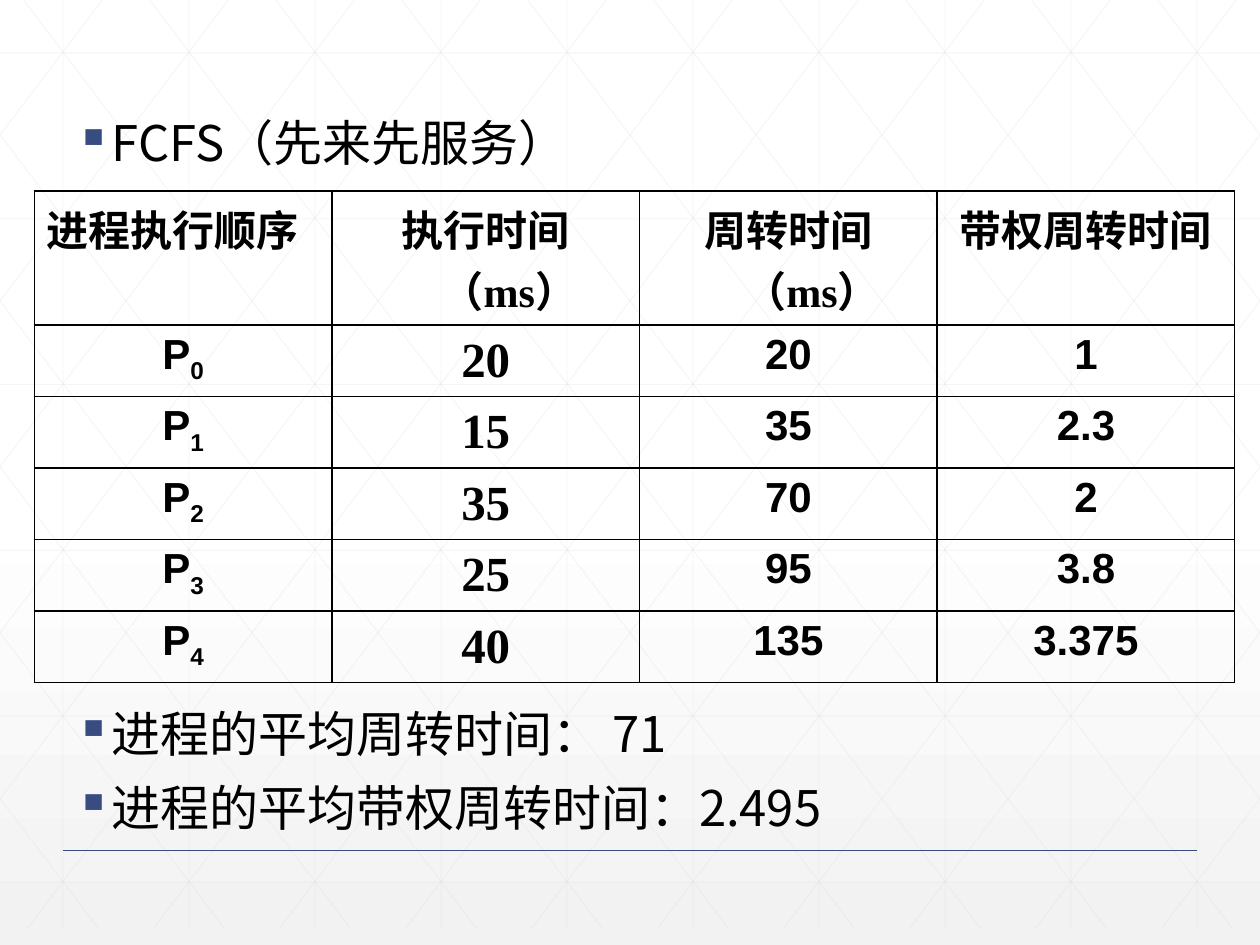
from dataclasses import dataclass

from lxml import etree
from pptx import Presentation
from pptx.dml.color import RGBColor
from pptx.enum.shapes import MSO_CONNECTOR
from pptx.enum.text import MSO_ANCHOR, PP_ALIGN
from pptx.oxml.ns import qn
from pptx.util import Pt

STRAIGHT = MSO_CONNECTOR.STRAIGHT
LEFT, CENTER = PP_ALIGN.LEFT, PP_ALIGN.CENTER
TOP, MIDDLE = MSO_ANCHOR.TOP, MSO_ANCHOR.MIDDLE

BLACK = RGBColor(0, 0, 0)
WHITE = RGBColor(255, 255, 255)
SMOKE = RGBColor(0xF2, 0xF2, 0xF2)
GRAY = RGBColor(0xD9, 0xD9, 0xD9)
NAVY = RGBColor(0x38, 0x4C, 0x81)

SANS, SERIF, HAN = "Arial", "Times New Roman", "Noto Sans CJK SC"
WIDE, HIGH = 720, 540
MESH_H = 530.64  # height of the background mesh
RUN = 402.84  # how far a diagonal moves sideways over that height


@dataclass
class Line:
    x1: float
    y1: float
    x2: float
    y2: float


@dataclass
class Style:
    font: str
    size: float
    bold: bool = True


@dataclass
class Column:
    head: str
    align: PP_ALIGN
    width: float
    style: Style
    anchor: MSO_ANCHOR
    hang: float
    cells: list[str]


@dataclass
class Note:
    top: float
    high: float
    lines: list[str]


HEAD = Style(SERIF, 24)
DATA = Style(SANS, 24)
COUNT = Style(SERIF, 28)
BODY = Style(HAN, 28, False)

COLUMNS = [
    Column("进程执行顺序", LEFT, 170, DATA, TOP, 0, ["P0", "P1", "P2", "P3", "P4"]),
    Column("执行时间（ms）", CENTER, 176, COUNT, MIDDLE, 27, ["20", "15", "35", "25", "40"]),
    Column("周转时间（ms）", CENTER, 170, DATA, TOP, 0, ["20", "35", "70", "95", "135"]),
    Column("带权周转时间", CENTER, 170, DATA, TOP, 0, ["1", "2.3", "2", "3.8", "3.375"]),
]
NOTES = [
    Note(64.8, 44, ["FCFS（先来先服务）"]),
    Note(402.5, 92, ["进程的平均周转时间： 71", "进程的平均带权周转时间：2.495"]),
]


def format_run(run, style: Style) -> None:
    font = run.font
    font.name, font.size, font.bold = style.font, Pt(style.size), style.bold
    font.color.rgb = BLACK
    etree.SubElement(run._r.get_or_add_rPr(), qn("a:ea"), typeface=HAN)


def indent(para, hang: float) -> None:
    """Hang the first line to the left of the rest."""
    props = para._p.get_or_add_pPr()
    props.set("marL", str(Pt(hang)))
    props.set("indent", str(Pt(-hang)))


def draw_line(shapes, line: Line, color: RGBColor, width: float, alpha: int = 100) -> None:
    ends = (Pt(v) for v in (line.x1, line.y1, line.x2, line.y2))
    link = shapes.add_connector(STRAIGHT, *ends)
    link.line.color.rgb = color
    link.line.width = Pt(width)
    props = link._element.spPr
    if alpha < 100:
        tint = props.find(".//" + qn("a:srgbClr"))
        etree.SubElement(tint, qn("a:alpha"), val=str(alpha * 1000))
    etree.SubElement(props, qn("a:effectLst"))


def slant(start: float) -> Line:
    """Diagonal going down right from the top edge, cut at the slide's sides."""
    left, right = max(start, 0), min(start + RUN, WIDE)
    slope = MESH_H / RUN
    return Line(left, (left - start) * slope, right, (right - start) * slope)


def draw_mesh(shapes) -> None:
    lines = [Line(36 + 72 * i, 0, 36 + 72 * i, MESH_H) for i in range(10)]
    lines += [Line(0, 30.24 + 94.75 * i, WIDE, 30.24 + 94.75 * i) for i in range(6)]
    for i in range(-5, 10):
        down = slant(13.5 + 72 * i)
        lines += [down, Line(WIDE - down.x1, down.y1, WIDE - down.x2, down.y2)]
    for line in lines:
        draw_line(shapes, line, GRAY, 0.5, 25)


def draw_note(shapes, note: Note) -> None:
    box = shapes.add_textbox(Pt(36), Pt(note.top), Pt(684), Pt(note.high))
    frame = box.text_frame
    frame.word_wrap = True
    frame.text = "\n".join(note.lines)
    for i, para in enumerate(frame.paragraphs):
        indent(para, 18)
        props = para._p.get_or_add_pPr()
        tint = etree.SubElement(props, qn("a:buClr"))
        etree.SubElement(tint, qn("a:srgbClr"), val=str(NAVY))
        etree.SubElement(props, qn("a:buChar"), char="▪")
        para.line_spacing = 0.9
        if i:
            para.space_before = Pt(12)
        format_run(para.runs[0], BODY)


def frame_cell(cell) -> None:
    """Give a cell black borders and no fill."""
    props = cell._tc.get_or_add_tcPr()
    for side in "LRTB":
        edge = etree.SubElement(props, qn("a:ln" + side), w=str(Pt(1)))
        fill = etree.SubElement(edge, qn("a:solidFill"))
        etree.SubElement(fill, qn("a:srgbClr"), val=str(BLACK))
    cell.fill.background()


def fill_cell(cell, text: str, style: Style, align: PP_ALIGN, hang: float) -> None:
    frame_cell(cell)
    para = cell.text_frame.paragraphs[0]
    para.alignment = align
    if hang:
        indent(para, hang)
    if text.startswith("P"):
        para.text = text[0]
        sub = para.add_run()
        sub.text = text[1:]
        sub.font._element.set("baseline", "-25000")
    else:
        para.text = text
    for run in para.runs:
        format_run(run, style)


def draw_table(shapes) -> None:
    count = len(COLUMNS[0].cells) + 1
    wide = sum(col.width for col in COLUMNS)
    table = shapes.add_table(count, len(COLUMNS), Pt(19.6), Pt(109.2), Pt(wide), Pt(273)).table
    table.first_row = table.horz_banding = False
    for i, row in enumerate(table.rows):
        row.height = Pt(39.3 if i else 76.6)
    for c, col in enumerate(COLUMNS):
        table.columns[c].width = Pt(col.width)
        fill_cell(table.cell(0, c), col.head, HEAD, col.align, 27)
        for r, text in enumerate(col.cells, 1):
            cell = table.cell(r, c)
            cell.vertical_anchor = col.anchor
            fill_cell(cell, text, col.style, CENTER, col.hang)


def main() -> None:
    deck = Presentation()
    deck.slide_width, deck.slide_height = Pt(WIDE), Pt(HIGH)
    slide = deck.slides.add_slide(deck.slide_layouts[6])
    fill = slide.background.fill
    fill.gradient()
    fill.gradient_angle = 270
    for stop, color, place in zip(fill.gradient_stops, (WHITE, SMOKE), (0.53, 1)):
        stop.color.rgb, stop.position = color, place
    shapes = slide.shapes
    draw_mesh(shapes)
    draw_line(shapes, Line(36, 486, 684, 486), NAVY, 1)
    for note in NOTES:
        draw_note(shapes, note)
    draw_table(shapes)
    deck.save("out.pptx")


if __name__ == "__main__":
    main()
